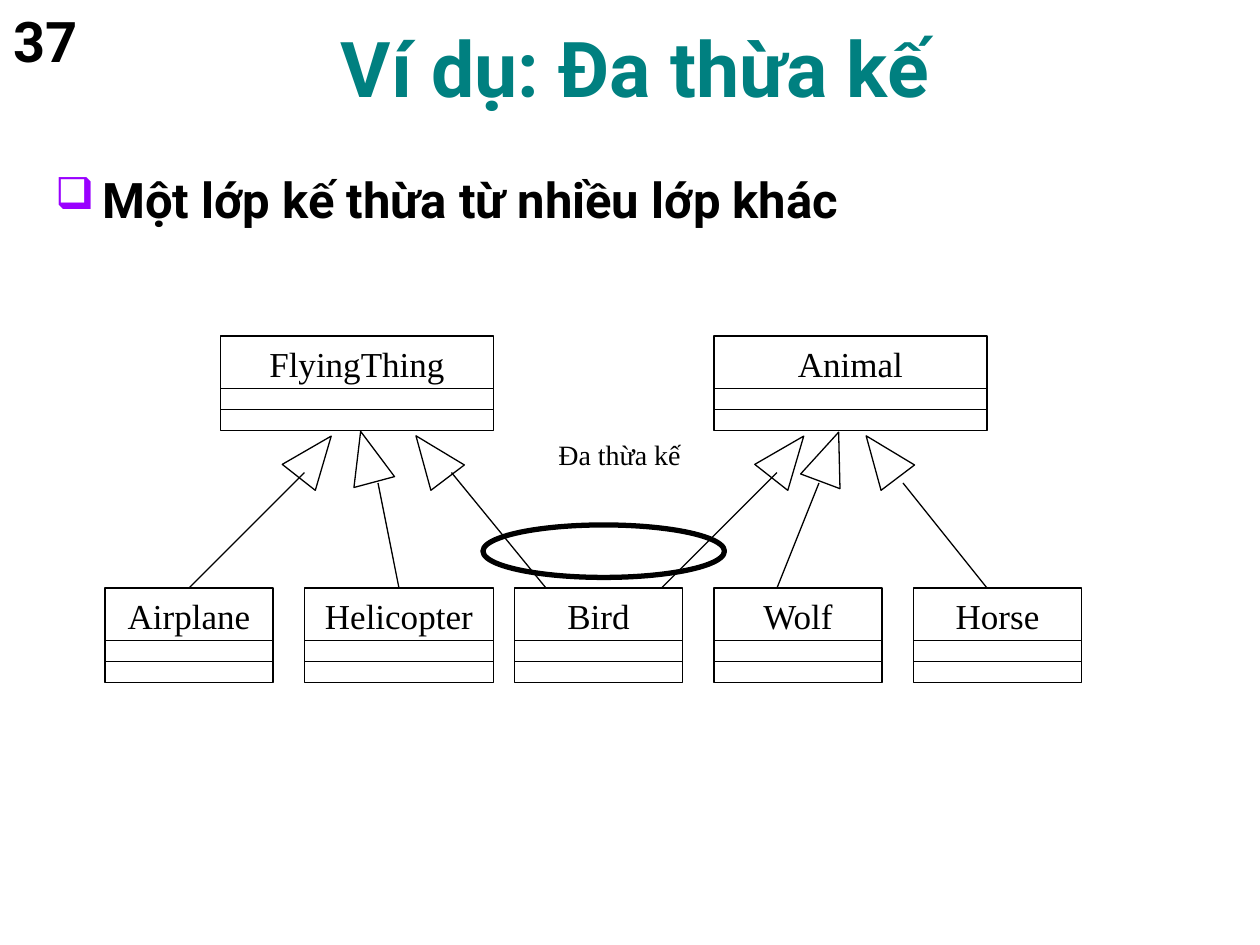
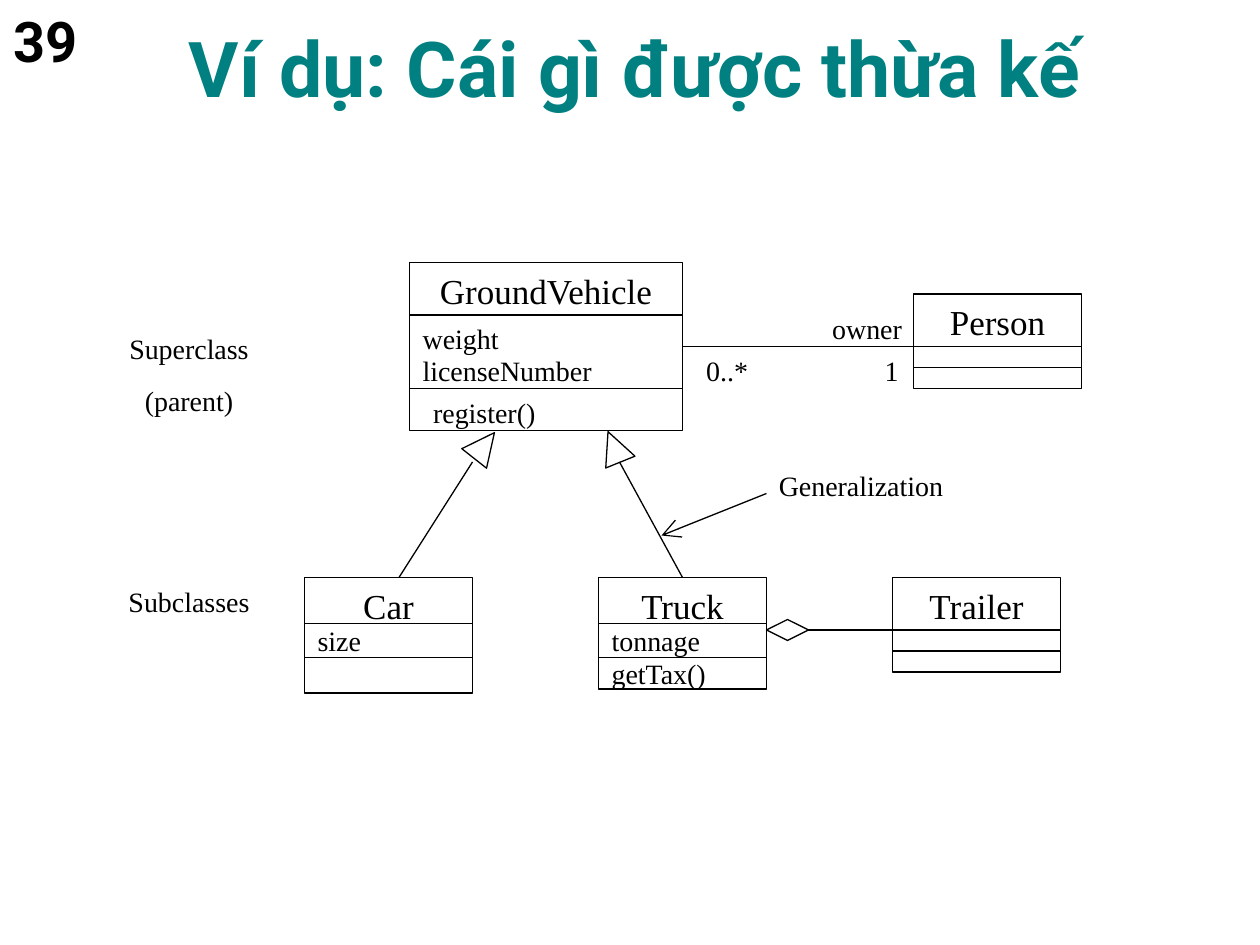
from lxml.etree import SubElement
from pptx import Presentation
from pptx.dml.color import RGBColor
from pptx.enum.shapes import MSO_CONNECTOR, MSO_SHAPE
from pptx.enum.text import MSO_ANCHOR, MSO_AUTO_SIZE, PP_ALIGN
from pptx.oxml.ns import qn
from pptx.util import Emu, Pt

# Shared scale (96 px to the inch), colours and text styles
PX = 914400 // 96
BLACK, WHITE, TEAL, VIOLET = "000000", "FFFFFF", "008080", "9900FF"
TITLE = {"name": "Roboto", "size": Pt(44), "bold": True}
NUMBER = {"name": "Roboto", "size": Pt(32), "bold": True}
BULLET = {"name": "Roboto", "size": Pt(28), "bold": True}
CLASS_NAME = {"name": "Times New Roman", "size": Pt(20), "bold": False}
MEMBER = {"name": "Times New Roman", "size": Pt(16), "bold": False}

# Class boxes: offset of the first compartment and heights
NAME_PITCH, NAME_HEIGHT, EMPTY_ROW = 40, 42, 16


def px(*lengths):
    return [Emu(length * PX) for length in lengths]


def color(target, hex_value):
    target.rgb = RGBColor.from_string(hex_value)


def apply(target, values):
    for attribute, value in values.items():
        setattr(target, attribute, value)


def write(frame, text, font, ink=BLACK, align=PP_ALIGN.LEFT,
          anchor=MSO_ANCHOR.TOP, margin=5):
    side, edge = px(10, margin)
    apply(frame, {"text": text, "word_wrap": True,
                  "auto_size": MSO_AUTO_SIZE.NONE, "vertical_anchor": anchor,
                  "margin_left": side, "margin_right": side,
                  "margin_top": edge, "margin_bottom": edge})
    for index, paragraph in enumerate(frame.paragraphs):
        paragraph.alignment = align
        if index:
            paragraph.space_before = Pt(10)
        for run in paragraph.runs:
            apply(run.font, font)
            color(run.font.color, ink)


def add_page(prs, title, number):
    slide = prs.slides.add_slide(prs.slide_layouts[5])
    heading = slide.shapes.title
    left, top, width, height = px(32, 16, 904, 75)
    apply(heading, {"left": left, "top": top, "width": width, "height": height})
    write(heading.text_frame, title, TITLE, TEAL, PP_ALIGN.CENTER, MSO_ANCHOR.BOTTOM)
    add_label(slide, number, 0, 0, 104, 68, font=NUMBER)
    return slide


def add_label(slide, text, left, top, width, height=36, align=PP_ALIGN.LEFT, font=MEMBER):
    label = slide.shapes.add_textbox(*px(left, top, width, height))
    write(label.text_frame, text, font, align=align)
    return label


def add_bullet(slide, text, left, top, width, height):
    statement = add_label(slide, text, left, top, width, height, font=BULLET)
    paragraph = statement.text_frame.paragraphs[0]
    paragraph.line_spacing = 1.1
    indent = px(36)[0]
    properties = paragraph._p.get_or_add_pPr()
    properties.set("marL", str(indent))
    properties.set("indent", str(-indent))
    tint = SubElement(properties, qn("a:buClr"))
    SubElement(tint, qn("a:srgbClr"), val=VIOLET)
    SubElement(properties, qn("a:buSzPct"), val="90000")
    SubElement(properties, qn("a:buChar"), char="❑")


def add_outline(slide, preset, left, top, width, height, fill=None, weight=0.75, rotation=0):
    shape = slide.shapes.add_shape(preset, *px(left, top, width, height))
    shape.shadow.inherit = False
    shape.rotation = rotation
    if fill:
        shape.fill.solid()
        color(shape.fill.fore_color, fill)
    else:
        shape.fill.background()
    color(shape.line.color, BLACK)
    shape.line.width = Pt(weight)
    return shape


def add_class(slide, name, left, top, width,
              rows=(("", EMPTY_ROW), ("", EMPTY_ROW)), pitch=NAME_PITCH):
    """Draw a class with its compartments and return the name box."""
    header = add_outline(slide, MSO_SHAPE.RECTANGLE, left, top, width, NAME_HEIGHT, WHITE)
    write(header.text_frame, name, CLASS_NAME,
          align=PP_ALIGN.CENTER, anchor=MSO_ANCHOR.MIDDLE)
    row_top = top + pitch
    for text, height in rows:
        row = add_outline(slide, MSO_SHAPE.RECTANGLE, left, row_top, width, height, WHITE)
        if text:
            write(row.text_frame, text, MEMBER, anchor=MSO_ANCHOR.MIDDLE, margin=0)
        row_top += height
    return header


def add_line(slide, start, end, arrow=False):
    line = slide.shapes.add_connector(MSO_CONNECTOR.STRAIGHT, *px(*start, *end))
    color(line.line.color, BLACK)
    line.line.width = Pt(0.75)
    properties = line._element.spPr
    if arrow:
        SubElement(properties.find(qn("a:ln")), qn("a:tailEnd"),
                   type="arrow", w="lg", len="lg")
    SubElement(properties, qn("a:effectLst"))
    return line


def add_inheritance(slide, triangle, rotation, start, end, subclass=None):
    """Draw the hollow triangle and the line down to the subclass."""
    add_outline(slide, MSO_SHAPE.ISOSCELES_TRIANGLE, *triangle, rotation=rotation)
    line = add_line(slide, start, end)
    if subclass:
        line.end_connect(subclass, 0)


def build_multiple_inheritance(prs):
    slide = add_page(prs, "Ví dụ: Đa thừa kế", "37")
    add_bullet(slide, "Một lớp kế thừa từ nhiều lớp khác", 32, 120, 904, 560)

    # Superclasses and subclasses
    for name, left in (("FlyingThing", 168), ("Animal", 544)):
        add_class(slide, name, left, 256, 208)
    subclass_top = 448
    subclasses = {
        name: add_class(slide, name, left, subclass_top, width)
        for name, left, width in (
            ("Airplane", 80, 128), ("Helicopter", 232, 144), ("Bird", 392, 128),
            ("Wolf", 544, 128), ("Horse", 696, 128))
    }

    # Inheritance: triangle left, turn, line start, line foot, joined subclass
    for left, turn, start, foot, joined in (
            (224, 38.2, (232, 360), 144, "Airplane"),
            (264, 345, (288, 368), 304, "Helicopter"),
            (313, 322.9, (344, 360), 416, None),
            (584, 38.2, (592, 360), 504, None),
            (616, 20.5, (624, 368), 592, None),
            (656, 322.9, (688, 368), 752, None)):
        add_inheritance(slide, (left, 328, 32, 40), turn, start,
                        (foot, subclass_top), subclasses.get(joined))

    # Highlight of the class with two parents
    add_label(slide, "Đa thừa kế", 392, 328, 160, align=PP_ALIGN.CENTER)
    add_outline(slide, MSO_SHAPE.OVAL, 368, 400, 184, 40, weight=3)


def build_inherited_members(prs):
    slide = add_page(prs, "Ví dụ: Cái gì được thừa kế", "39")

    # Classes
    add_class(slide, "GroundVehicle", 312, 200, 208, (("", 56), ("", 32)))
    add_class(slide, "Person", 696, 224, 128)
    add_class(slide, "Car", 232, 440, 128, (("size", 26), ("", 27)), 35)
    truck = add_class(slide, "Truck", 456, 440, 128, (("tonnage", 26), ("getTax()", 24)), 35)
    add_class(slide, "Trailer", 680, 440, 128)

    # Members and association ends
    for text, left, top, width in (
            ("weight", 312, 240, 160), ("licenseNumber", 312, 264, 160),
            ("register()", 320, 296, 160), ("0..*", 528, 264, 72),
            ("1", 664, 264, 72), ("owner", 624, 232, 80)):
        add_label(slide, text, left, top, width)

    # Association and aggregation
    add_line(slide, (520, 264), (696, 264))
    diamond = add_outline(slide, MSO_SHAPE.FLOWCHART_DECISION, 584, 472, 32, 16)
    add_line(slide, (616, 480), (688, 480)).begin_connect(diamond, 3)

    # Inheritance
    add_inheritance(slide, (357, 327, 24, 25), 38.2, (360, 352), (304, 440))
    add_inheritance(slide, (456, 328, 24, 25), 338, (472, 352), (520, 440), truck)
    add_line(slide, (584, 376), (504, 408), arrow=True)

    # Explanations
    for text, left, top, height in (
            ("Generalization", 576, 352, 36),
            ("Superclass\n(parent)", 64, 248, 74),
            ("Subclasses", 64, 440, 36)):
        add_label(slide, text, left, top, 160, height, PP_ALIGN.CENTER)


def main():
    prs = Presentation()
    prs.slide_width, prs.slide_height = px(960, 720)
    build_multiple_inheritance(prs)
    build_inherited_members(prs)
    prs.save("out.pptx")


if __name__ == "__main__":
    main()
